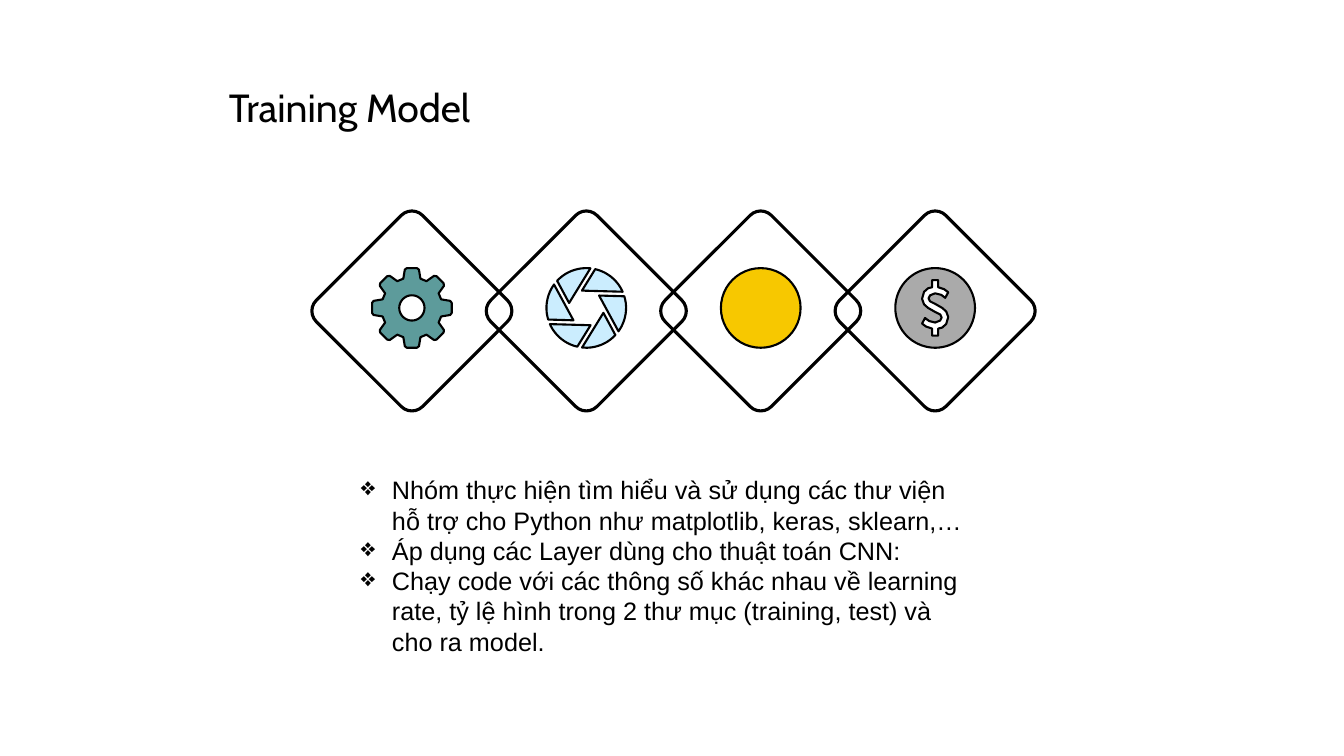
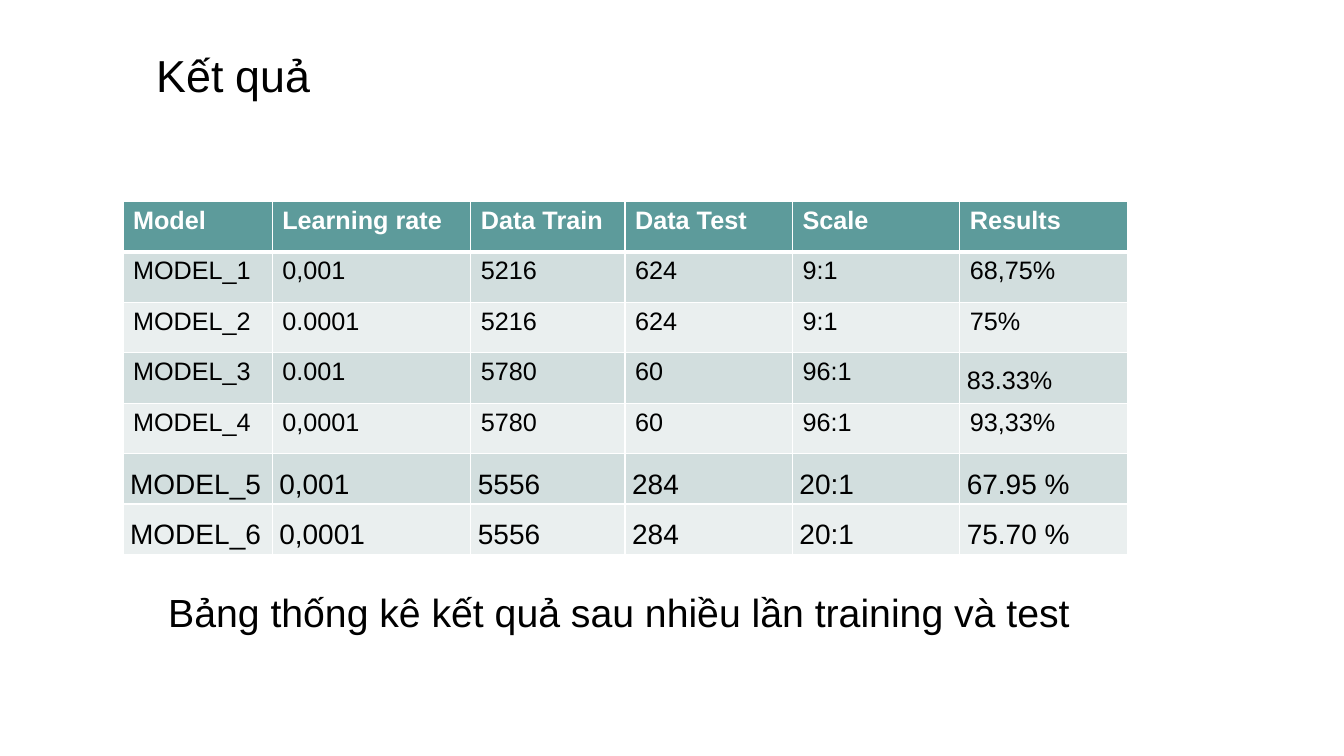
from dataclasses import dataclass
from math import cos, radians, sin

from lxml import etree
from pptx import Presentation
from pptx.dml.color import RGBColor
from pptx.enum.shapes import MSO_SHAPE
from pptx.enum.text import MSO_ANCHOR, MSO_AUTO_SIZE, PP_ALIGN
from pptx.oxml.ns import qn
from pptx.util import Inches, Pt

ROUNDED = MSO_SHAPE.ROUNDED_RECTANGLE
OVAL = MSO_SHAPE.OVAL
LEFT = PP_ALIGN.LEFT
JUSTIFY = PP_ALIGN.JUSTIFY
TOP = MSO_ANCHOR.TOP
FIT_SHAPE = MSO_AUTO_SIZE.SHAPE_TO_FIT_TEXT
TITLE_ONLY = 5


@dataclass(frozen=True)
class Theme:
    ink: str = "000000"
    white: str = "FFFFFF"
    teal: str = "5D9B9B"
    sky: str = "CBEDFE"
    yellow: str = "F7C800"
    grey: str = "AAAAAA"
    bands: tuple = ("D2DEDE", "EAEFEF")
    font: str = "Arial"
    display_font: str = "Cabin"
    title: int = 32
    heading: int = 28
    large: int = 20
    body: int = 18


@dataclass(frozen=True)
class Area:
    left: float
    top: float
    width: float
    height: float

    def lengths(self) -> tuple:
        return tuple(Inches(v) for v in (self.left, self.top, self.width, self.height))


@dataclass(frozen=True)
class Icon:
    contours: tuple
    fill: str


THEME = Theme()

DIAMOND_SIDE = 1.49
DIAMOND_PITCH = 1.73
FIRST_DIAMOND = (3.34, 2.34)
ICON_LIFT = 0.03

# Icon outlines are in hundredths of an inch around the icon centre.
ICON_RADIUS = 39.5
GEAR_TOOTH = ((-8.5, -29), (-7, -38), (-5, -39.5), (5, -39.5), (7, -38), (8.5, -29))
GEAR_HOLE = 12.5
BLADE_ARC = (223, 276)
BLADE_TIP = (17.7, 196)
DOLLAR_HALF = (
    (-3, 27.5), (-3, 20.5), (-9, 18.5), (-13, 15.5), (-10, 10), (-6, 13),
    (0, 14.5), (5, 12.5), (6.5, 9.5), (5, 6.5), (0, 4), (-7, 0), (-11, -3.5),
    (-13, -9), (-11, -16), (-7, -19.5), (-3, -20.5), (-3, -27.5),
)

STEPS = (
    "Nhóm thực hiện tìm hiểu và sử dụng các thư viện hỗ trợ cho Python như "
    "matplotlib, keras, sklearn,…",
    "Áp dụng các Layer dùng cho thuật toán CNN:",
    "Chạy code với các thông số khác nhau về learning rate, tỷ lệ hình trong "
    "2 thư mục (training, test) và cho ra model.",
)

COLUMN_WIDTHS = (1.48, 1.97, 1.53, 1.66, 1.66, 1.66)
ROW_HEIGHT = 0.5
RESULTS = (
    ("Model", "Learning rate", "Data Train", "Data Test", "Scale", "Results"),
    ("MODEL_1", "0,001", "5216", "624", "9:1", "68,75%"),
    ("MODEL_2", "0.0001", "5216", "624", "9:1", "75%"),
    ("MODEL_3", "0.001", "5780", "60", "96:1", "83.33%"),
    ("MODEL_4", "0,0001", "5780", "60", "96:1", "93,33%"),
    ("MODEL_5", "0,001", "5556", "284", "20:1", "67.95 %"),
    ("MODEL_6", "0,0001", "5556", "284", "20:1", "75.70 %"),
)
FIRST_LARGE_ROW = 5
SPACED_RESULT = (3, 5)


def rgb(value: str) -> RGBColor:
    return RGBColor.from_string(value)


def add_span(para, text: str, size: int, font: str = THEME.font,
             color: str = THEME.ink, bold: bool = False) -> None:
    span = para.add_run()
    span.text = text
    span.font.name = font
    span.font.size = Pt(size)
    span.font.bold = bold
    span.font.color.rgb = rgb(color)


def write_line(box, text: str, size: int, font: str = THEME.font) -> None:
    """Put one unwrapped line into a title or a text box."""
    frame = box.text_frame
    frame.word_wrap = False
    frame.auto_size = FIT_SHAPE
    frame.vertical_anchor = TOP
    para = frame.paragraphs[0]
    para.alignment = LEFT
    add_span(para, text, size, font)


def add_page(deck, title: str, area: Area, size: int, font: str = THEME.font):
    page = deck.slides.add_slide(deck.slide_layouts[TITLE_ONLY])
    box = page.shapes.title
    box.left, box.top, box.width, box.height = area.lengths()
    write_line(box, title, size, font)
    return page


def paint(shape, fill: str | None, width: float) -> None:
    shape.shadow.inherit = False
    if fill is None:
        shape.fill.background()
    else:
        shape.fill.solid()
        shape.fill.fore_color.rgb = rgb(fill)
    shape.line.color.rgb = rgb(THEME.ink)
    shape.line.width = Pt(width)


def polar(radius: float, angle: float) -> tuple:
    return radius * cos(radians(angle)), radius * sin(radians(angle))


def arc(radius: float, start: int, end: int, step: int = 5) -> list:
    """Points along an arc, both ends included."""
    angles = [*range(start, end, step), end]
    return [polar(radius, angle) for angle in angles]


def turn(points, angle: float) -> list:
    """Rotate points about the icon centre."""
    c, s = cos(radians(angle)), sin(radians(angle))
    return [(x * c - y * s, x * s + y * c) for x, y in points]


def gear() -> Icon:
    rim = [p for angle in range(0, 360, 45) for p in turn(GEAR_TOOTH, angle)]
    return Icon((rim, arc(GEAR_HOLE, 0, 355)), THEME.teal)


def aperture() -> Icon:
    blade = arc(ICON_RADIUS, *BLADE_ARC) + [polar(*BLADE_TIP)]
    return Icon(tuple(turn(blade, a) for a in range(0, 360, 60)), THEME.sky)


def coin() -> Icon:
    dollar = [*DOLLAR_HALF, *turn(DOLLAR_HALF, 180)]
    return Icon((arc(ICON_RADIUS, 0, 355), dollar), THEME.grey)


def add_icon(page, icon: Icon, center_x: float, center_y: float) -> None:
    builder = None
    for contour in icon.contours:
        points = [(Inches(center_x + x / 100), Inches(center_y + y / 100))
                  for x, y in contour]
        if builder is None:
            builder = page.shapes.build_freeform(*points[0])
        else:
            builder.move_to(*points[0])
        builder.add_line_segments(points[1:], close=True)
    paint(builder.convert_to_shape(), icon.fill, 1.5)


def add_disc(page, fill: str, center_x: float, center_y: float) -> None:
    radius = ICON_RADIUS / 100
    area = Area(center_x - radius, center_y - radius, 2 * radius, 2 * radius)
    paint(page.shapes.add_shape(OVAL, *area.lengths()), fill, 1.5)


def add_diamond(page, left: float, top: float) -> None:
    area = Area(left, top, DIAMOND_SIDE, DIAMOND_SIDE)
    diamond = page.shapes.add_shape(ROUNDED, *area.lengths())
    diamond.rotation = 45
    diamond.adjustments[0] = 0.1
    paint(diamond, None, 2.25)


def add_bullets(page, area: Area, lines: tuple) -> None:
    frame = page.shapes.add_textbox(*area.lengths()).text_frame
    frame.word_wrap = True
    for index, line in enumerate(lines):
        para = frame.add_paragraph() if index else frame.paragraphs[0]
        add_span(para, line, THEME.body)
        properties = para._p.get_or_add_pPr()
        properties.set("marL", str(Inches(0.81)))
        properties.set("indent", str(Inches(-0.31)))
        etree.SubElement(properties, qn("a:buChar")).set("char", "❖")


def set_borders(cell, bottom: float) -> None:
    """Draw white cell borders; these must precede the fill in the XML."""
    properties = cell._tc.get_or_add_tcPr()
    widths = {"a:lnL": 1, "a:lnR": 1, "a:lnT": 1, "a:lnB": bottom}
    for index, (tag, width) in enumerate(widths.items()):
        line = etree.Element(qn(tag), w=str(Pt(width)))
        fill = etree.SubElement(line, qn("a:solidFill"))
        etree.SubElement(fill, qn("a:srgbClr")).set("val", THEME.white)
        properties.insert(index, line)


def fill_cell(cell, text: str, row: int, column: int) -> None:
    header = row == 0
    large = row >= FIRST_LARGE_ROW
    cell.fill.solid()
    cell.fill.fore_color.rgb = rgb(THEME.teal if header else THEME.bands[(row - 1) % 2])
    set_borders(cell, 3 if header or row == 0 else 1)
    para = cell.text_frame.paragraphs[0]
    if large or (row, column) == SPACED_RESULT:
        cell.margin_left = cell.margin_right = Inches(0.07)
        cell.margin_top = cell.margin_bottom = 0
        para.alignment = JUSTIFY
        para.line_spacing = 1.5
    add_span(para, text, THEME.large if large else THEME.body,
             color=THEME.white if header else THEME.ink, bold=header)


def add_results(page, left: float, top: float) -> None:
    area = Area(left, top, sum(COLUMN_WIDTHS), ROW_HEIGHT * len(RESULTS))
    table = page.shapes.add_table(
        len(RESULTS), len(COLUMN_WIDTHS), *area.lengths()).table
    for column, width in zip(table.columns, COLUMN_WIDTHS):
        column.width = Inches(width)
    for row, values in enumerate(RESULTS):
        table.rows[row].height = Inches(ROW_HEIGHT)
        for column, text in enumerate(values):
            fill_cell(table.cell(row, column), text, row, column)


def build_training(deck) -> None:
    page = add_page(deck, "Training Model", Area(2.17, 0.78, 2.73, 0.57),
                    THEME.heading, THEME.display_font)
    left, top = FIRST_DIAMOND
    center_y = top + DIAMOND_SIDE / 2 - ICON_LIFT
    for index, symbol in enumerate((gear(), aperture(), THEME.yellow, coin())):
        diamond_left = left + index * DIAMOND_PITCH
        add_diamond(page, diamond_left, top)
        draw = add_icon if isinstance(symbol, Icon) else add_disc
        draw(page, symbol, diamond_left + DIAMOND_SIDE / 2, center_y)
    add_bullets(page, Area(2.98, 4.66, 6.67, 1.92), STEPS)


def build_results(deck) -> None:
    page = add_page(deck, "Kết quả", Area(1.45, 0.42, 1.87, 0.64), THEME.title)
    add_results(page, 1.22, 2)
    caption = page.shapes.add_textbox(*Area(1.57, 5.79, 9.25, 0.57).lengths())
    write_line(caption, "Bảng thống kê kết quả sau nhiều lần training và test",
               THEME.heading)


def main() -> None:
    deck = Presentation()
    deck.slide_width, deck.slide_height = Inches(13.33), Inches(7.5)
    build_training(deck)
    build_results(deck)
    deck.save("out.pptx")


if __name__ == "__main__":
    main()
